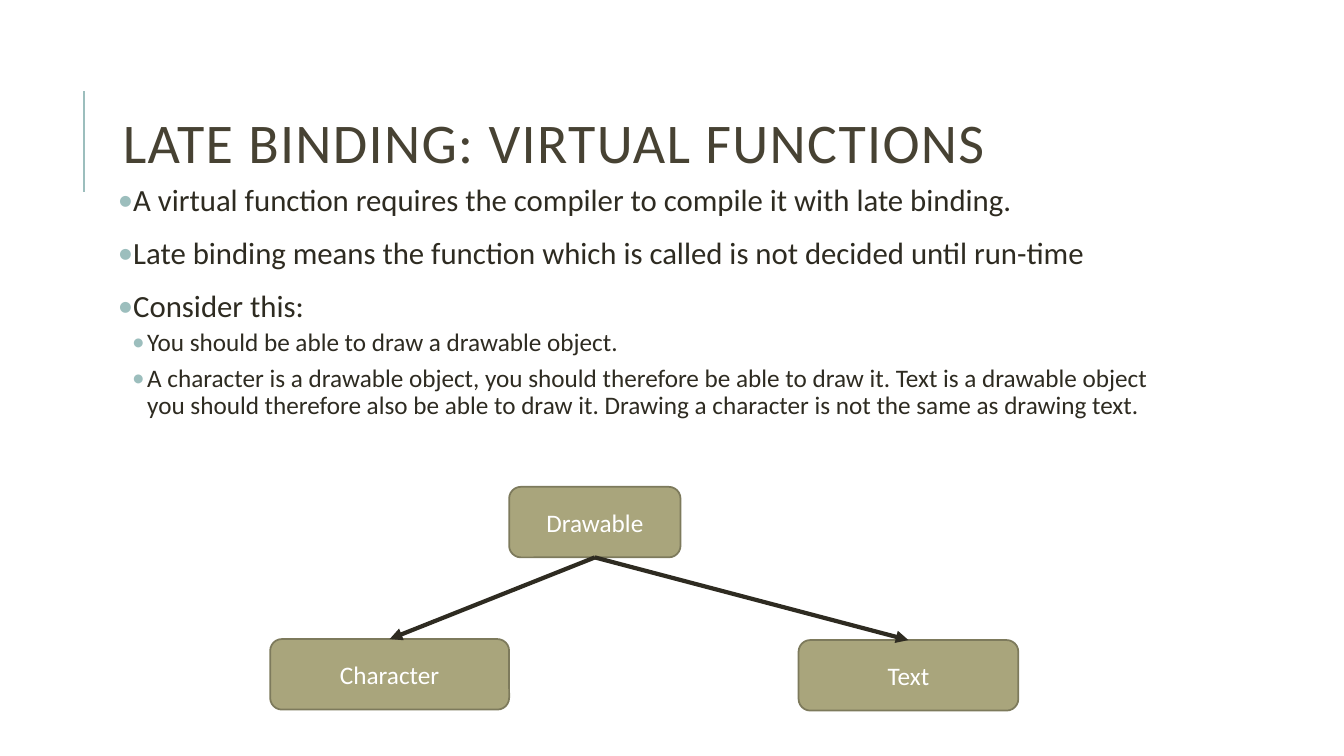
from dataclasses import dataclass

from lxml.etree import SubElement
from pptx import Presentation
from pptx.dml.color import RGBColor
from pptx.enum.shapes import MSO_CONNECTOR, MSO_SHAPE
from pptx.enum.text import MSO_ANCHOR, PP_ALIGN
from pptx.oxml.ns import qn
from pptx.util import Inches, Pt

TITLE = "LATE BINDING: VIRTUAL FUNCTIONS"
BULLETS = [
    (0, "A virtual function requires the compiler to compile it with late binding."),
    (0, "Late binding means the function which is called is not decided until run-time"),
    (0, "Consider this:"),
    (1, "You should be able to draw a drawable object."),
    (1, "A character is a drawable object, you should therefore be able to draw it. "
        "Text is a drawable object you should therefore also be able to draw it. "
        "Drawing a character is not the same as drawing text."),
]
CLASSES = {
    "Drawable": (5.05, 4.83, 1.7),
    "Character": (2.68, 6.34, 2.37),
    "Text": (7.92, 6.35, 2.18),
}
INHERITANCE = [("Drawable", "Character"), ("Drawable", "Text")]


@dataclass(frozen=True)
class Theme:
    font: str = "Calibri"
    title: RGBColor = RGBColor.from_string("474233")
    ink: RGBColor = RGBColor.from_string("2E2B21")
    accent: RGBColor = RGBColor.from_string("9CBEBD")
    box: RGBColor = RGBColor.from_string("A9A57C")
    border: RGBColor = RGBColor.from_string("7D7A5C")
    white: RGBColor = RGBColor.from_string("FFFFFF")
    title_size: int = 40
    box_size: int = 18


@dataclass(frozen=True)
class BulletLevel:
    size: int
    before: int
    after: int
    margin: float
    hanging: float


THEME = Theme()
LEVELS = [BulletLevel(22, 12, 2, 0.1, 0.1), BulletLevel(18, 2, 4, 0.29, 0.15)]
SLIDE_WIDTH, SLIDE_HEIGHT = 13.33, 7.5
COLUMN_LEFT, COLUMN_WIDTH = 1.12, 10.63
BOX_HEIGHT = 0.7
BOTTOM_SITE, TOP_SITE = 2, 0


def set_font(paragraph, size, color):
    font = paragraph.font
    font.name, font.size, font.color.rgb = THEME.font, Pt(size), color


def add_text_frame(slide, top, height):
    shape = slide.shapes.add_textbox(
        Inches(COLUMN_LEFT), Inches(top), Inches(COLUMN_WIDTH), Inches(height))
    shape.text_frame.word_wrap = True
    return shape.text_frame


def add_line(slide, start, end, color, width):
    line = slide.shapes.add_connector(
        MSO_CONNECTOR.STRAIGHT, *map(Inches, (*start, *end)))
    line.line.color.rgb, line.line.width = color, Pt(width)
    SubElement(line._element.spPr, qn("a:effectLst"))
    return line


def add_title(slide):
    frame = add_text_frame(slide, 0.64, 1.64)
    frame.vertical_anchor = MSO_ANCHOR.MIDDLE
    paragraph = frame.paragraphs[0]
    run = paragraph.add_run()
    run.text = TITLE
    run.font._element.set("spc", "100")
    paragraph.line_spacing = 0.8
    set_font(paragraph, THEME.title_size, THEME.title)


def add_bullet(paragraph, level):
    properties = paragraph._p.get_or_add_pPr()
    properties.set("marL", str(Inches(level.margin)))
    properties.set("indent", str(-Inches(level.hanging)))
    color = SubElement(properties, qn("a:buClr"))
    SubElement(color, qn("a:srgbClr"), val=str(THEME.accent))
    SubElement(properties, qn("a:buFont"), typeface=THEME.font)
    SubElement(properties, qn("a:buChar"), char="•")


def add_body(slide):
    frame = add_text_frame(slide, 1.79, 2.72)
    frame.margin_left = frame.margin_right = Inches(0.05)
    frame.margin_top = frame.margin_bottom = Inches(0.05)
    for index, (depth, text) in enumerate(BULLETS):
        paragraph = frame.add_paragraph() if index else frame.paragraphs[0]
        level = LEVELS[depth]
        paragraph.text, paragraph.level = text, depth
        paragraph.line_spacing = 0.9
        paragraph.space_before, paragraph.space_after = Pt(level.before), Pt(level.after)
        add_bullet(paragraph, level)
        set_font(paragraph, level.size, THEME.ink)


def add_class_box(slide, name, left, top, width):
    shape = slide.shapes.add_shape(
        MSO_SHAPE.ROUNDED_RECTANGLE, *map(Inches, (left, top, width, BOX_HEIGHT)))
    shape.shadow.inherit = False
    shape.fill.solid()
    shape.fill.fore_color.rgb = THEME.box
    shape.line.color.rgb, shape.line.width = THEME.border, Pt(1.25)
    shape.text_frame.vertical_anchor = MSO_ANCHOR.MIDDLE
    paragraph = shape.text_frame.paragraphs[0]
    paragraph.text, paragraph.alignment = name, PP_ALIGN.CENTER
    set_font(paragraph, THEME.box_size, THEME.white)
    return shape


def add_diagram(slide):
    boxes = {name: add_class_box(slide, name, *place) for name, place in CLASSES.items()}
    for parent, child in INHERITANCE:
        arrow = add_line(slide, (0, 0), (1, 1), THEME.ink, 3)
        arrow.begin_connect(boxes[parent], BOTTOM_SITE)
        arrow.end_connect(boxes[child], TOP_SITE)
        SubElement(arrow.line._get_or_add_ln(), qn("a:tailEnd"), type="triangle")


def main():
    presentation = Presentation()
    presentation.slide_width = Inches(SLIDE_WIDTH)
    presentation.slide_height = Inches(SLIDE_HEIGHT)
    slide = presentation.slides.add_slide(presentation.slide_layouts[6])
    add_line(slide, (0.83, 1.9), (0.83, 0.9), THEME.accent, 1.5)
    add_title(slide)
    add_body(slide)
    add_diagram(slide)
    presentation.save("out.pptx")


if __name__ == "__main__":
    main()
